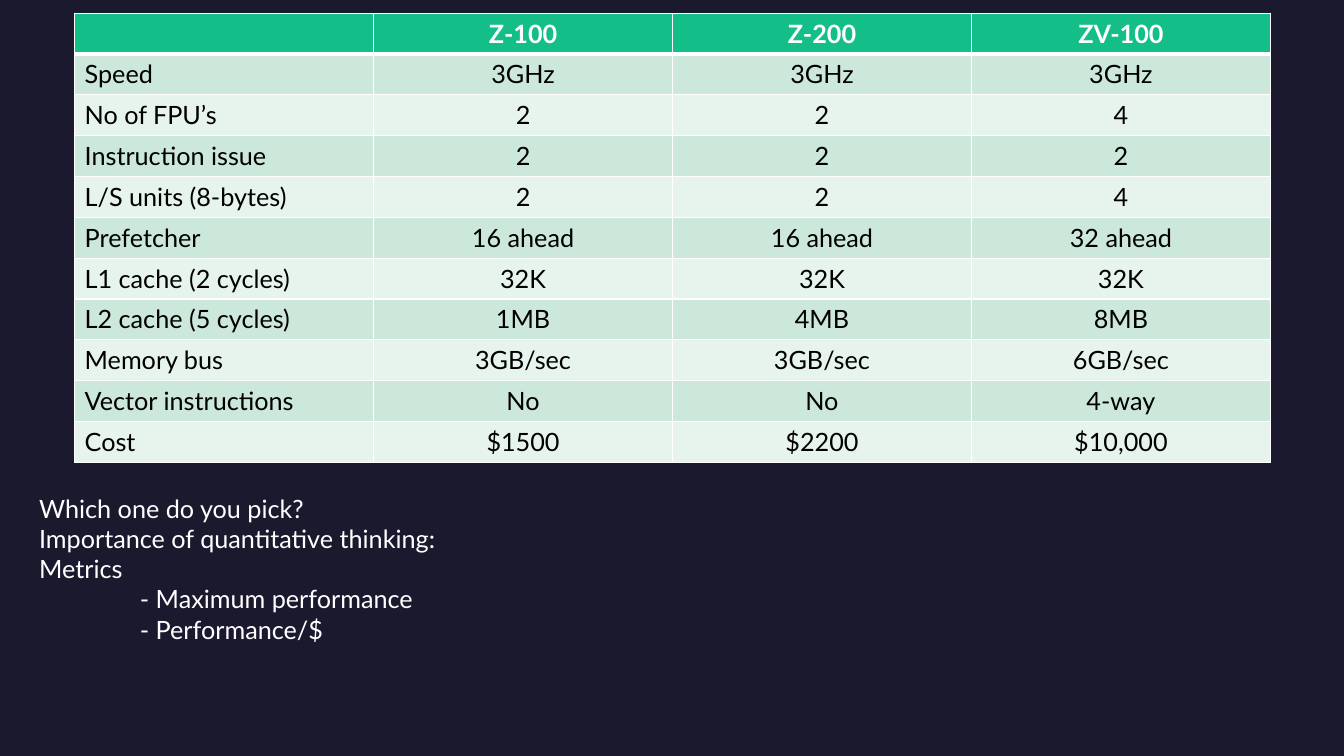
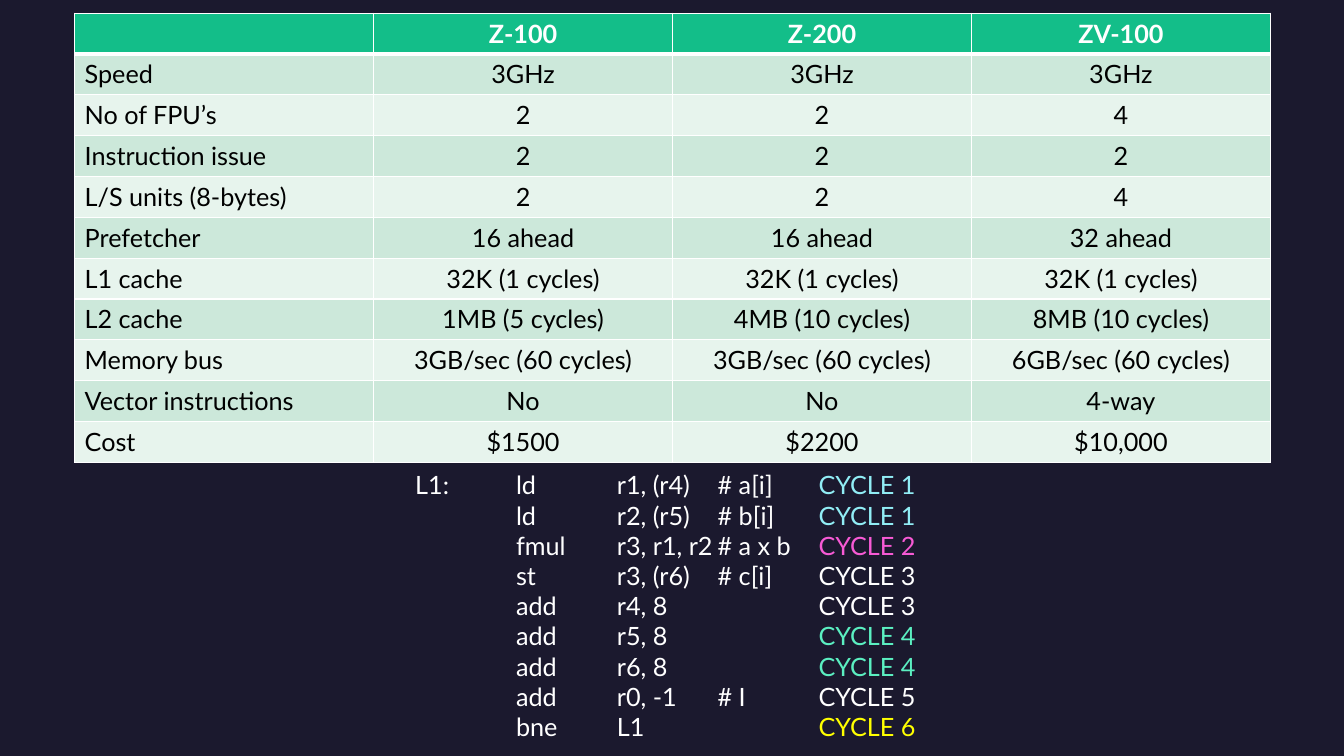
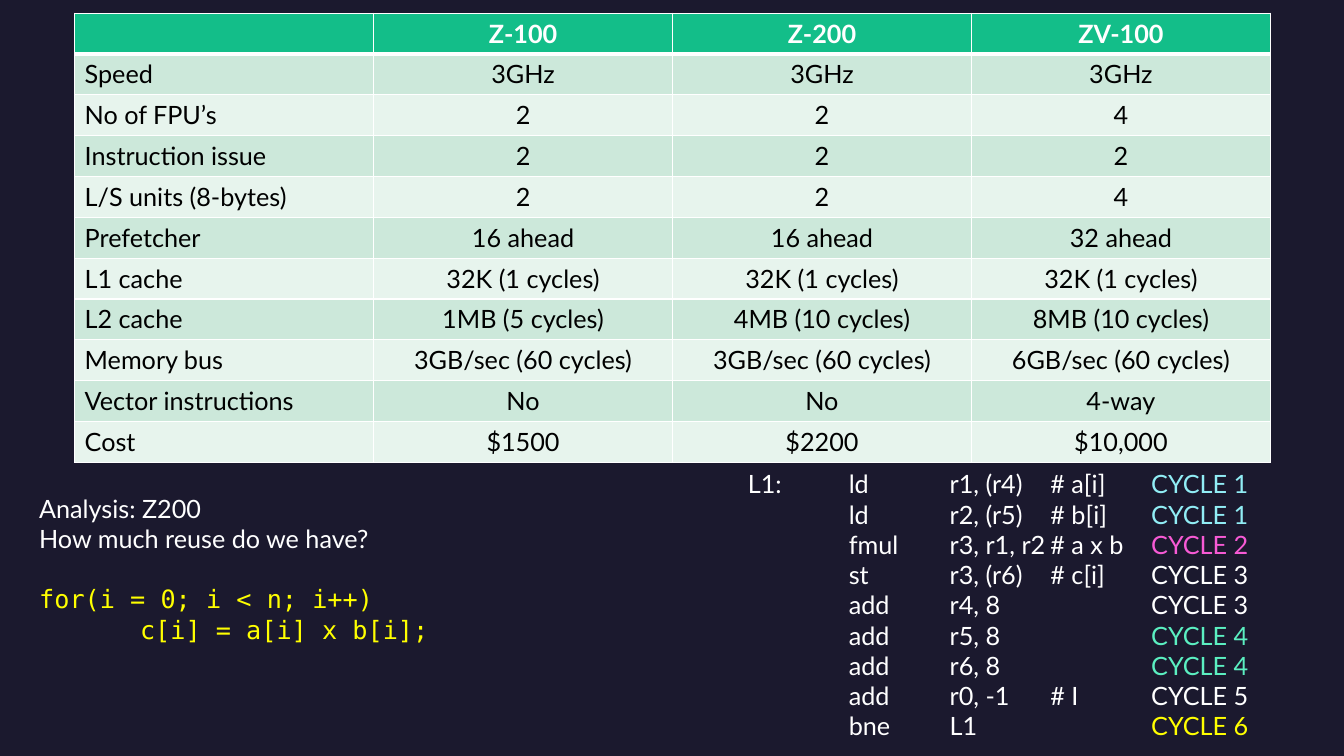
import pptx
import pptx.dml.color
import pptx.enum.text
import pptx.oxml
import pptx.oxml.ns
import pptx.util

Inches = pptx.util.Inches
WHITE, BLACK, YELLOW = "FFFFFF", "000000", "FFFF00"
NAVY, GREEN = "1B192E", "13BE89"
BANDS = ["CCE8DA", "E7F4ED"]
CYCLES = {1: "91EDF5", 2: "F75AD5", 3: WHITE, 4: "5BEFC1", 5: WHITE, 6: YELLOW}
SANS, MONO = "Lato", "DejaVu Sans Mono"

HEAD = ["", "Z-100", "Z-200", "ZV-100"]
CORE = [
    ["Speed", "3GHz", "3GHz", "3GHz"],
    ["No of FPU’s", "2", "2", "4"],
    ["Instruction issue", "2", "2", "2"],
    ["L/S units (8-bytes)", "2", "2", "4"],
    ["Prefetcher", "16 ahead", "16 ahead", "32 ahead"],
]
BRIEF = [
    ["L1 cache (2 cycles)", "32K", "32K", "32K"],
    ["L2 cache (5 cycles)", "1MB", "4MB", "8MB"],
    ["Memory bus", "3GB/sec", "3GB/sec", "6GB/sec"],
]
TIMED = [
    ["L1 cache", "32K (1 cycles)", "32K (1 cycles)", "32K (1 cycles)"],
    ["L2 cache", "1MB (5 cycles)", "4MB (10 cycles)", "8MB (10 cycles)"],
    ["Memory bus", "3GB/sec (60 cycles)", "3GB/sec (60 cycles)",
     "6GB/sec (60 cycles)"],
]
TAIL = [
    ["Vector instructions", "No", "No", "4-way"],
    ["Cost", "$1500", "$2200", "$10,000"],
]
# label, operation, operands, remark, cycle
LOOP = [
    ("L1:", "ld", "r1, (r4)", "# a[i]", 1),
    ("", "ld", "r2, (r5)", "# b[i]", 1),
    ("", "fmul", "r3, r1, r2", "# a x b", 2),
    ("", "st", "r3, (r6)", "# c[i]", 3),
    ("", "add", "r4, 8", "", 3),
    ("", "add", "r5, 8", "", 4),
    ("", "add", "r6, 8", "", 4),
    ("", "add", "r0, -1", "# I", 5),
    ("", "bne", "L1", "", 6),
]


def rgb(code):
    return pptx.dml.color.RGBColor.from_string(code)


def edge(cell, side, width):
    """Give one side (L, R, T or B) of a cell a white line, in points."""
    space = pptx.oxml.ns.nsdecls("a")
    cell._tc.get_or_add_tcPr().append(pptx.oxml.parse_xml(
        f'<a:ln{side} {space} w="{pptx.util.Pt(width)}"><a:solidFill>'
        f'<a:srgbClr val="{WHITE}"/></a:solidFill></a:ln{side}>'))


def tabs(para):
    """Set a tab stop at every inch up to four."""
    stops = "".join(f'<a:tab pos="{Inches(n)}" algn="l"/>' for n in range(1, 5))
    space = pptx.oxml.ns.nsdecls("a")
    para._p.get_or_add_pPr().append(pptx.oxml.parse_xml(
        f"<a:tabLst {space}>{stops}</a:tabLst>"))


class Deck:
    def __init__(self):
        self.show = pptx.Presentation()
        self.show.slide_width = Inches(13.33)
        self.show.slide_height = Inches(7.5)
        fill = self.show.slide_master.background.fill
        fill.solid()
        fill.fore_color.rgb = rgb(NAVY)

    def page(self):
        self.slide = self.show.slides.add_slide(self.show.slide_layouts[6])

    def style(self, run, color, face=SANS, bold=False):
        font = run.font
        font.name, font.size, font.bold = face, pptx.util.Pt(18), bold
        font.color.rgb = rgb(color)

    def table(self, rows):
        grid = self.slide.shapes.add_table(
            len(rows), len(rows[0]), Inches(0.74), Inches(0.13),
            Inches(11.86), Inches(4.46)).table
        for i, row in enumerate(rows):
            for j, text in enumerate(row):
                self.cell(grid.cell(i, j), text, i, j)

    def cell(self, cell, text, row, col):
        head = row == 0
        edge(cell, "L", 1)
        edge(cell, "R", 1)
        edge(cell, "T", 3 if row == 1 else 1)
        edge(cell, "B", 3 if head else 1)
        cell.fill.solid()
        cell.fill.fore_color.rgb = rgb(GREEN if head else BANDS[(row - 1) % 2])
        para = cell.text_frame.paragraphs[0]
        if text:
            para.text = text
            self.style(para.runs[0], WHITE if head else BLACK, bold=head)
        if col:
            para.alignment = pptx.enum.text.PP_ALIGN.CENTER

    def text(self, left, top, width, height, lines):
        """Place a text box and return its paragraphs, one per line."""
        box = self.slide.shapes.add_textbox(
            Inches(left), Inches(top), Inches(width), Inches(height))
        frame = box.text_frame
        frame.text = "\n".join(lines)
        frame.word_wrap = True
        for para in frame.paragraphs:
            tabs(para)
            self.style(para.runs[0], WHITE)
        return frame.paragraphs

    def loop(self, left, top):
        """List the assembly loop with its cycles in colour."""
        lines = ["\t".join(step[:4]) + "\t" for step in LOOP]
        paras = self.text(left, top, 5.57, 2.83, lines)
        for para, step in zip(paras, LOOP):
            run = para.add_run()
            run.text = f"CYCLE {step[4]}"
            self.style(run, CYCLES[step[4]])


def main():
    deck = Deck()

    deck.page()
    deck.table([HEAD] + CORE + BRIEF + TAIL)
    deck.text(0.29, 4.84, 4.84, 1.61, [
        "Which one do you pick?",
        "Importance of quantitative thinking: Metrics",
        "\t- Maximum performance",
        "\t- Performance/$",
    ])

    timed = [HEAD] + CORE + TIMED + TAIL
    deck.page()
    deck.table(timed)
    deck.loop(4.02, 4.61)

    deck.page()
    deck.table(timed)
    paras = deck.text(0.29, 4.84, 4.08, 2.22, [
        "Analysis: Z200",
        "How much reuse do we have?",
        "for(i = 0; i < n; i++)",
        "\tc[i] = a[i] x b[i];",
    ])
    paras[2].space_before = pptx.util.Pt(21.6)
    for para in paras[2:]:
        deck.style(para.runs[0], YELLOW, MONO)
    deck.loop(7.32, 4.6)

    deck.show.save("out.pptx")


if __name__ == "__main__":
    main()
